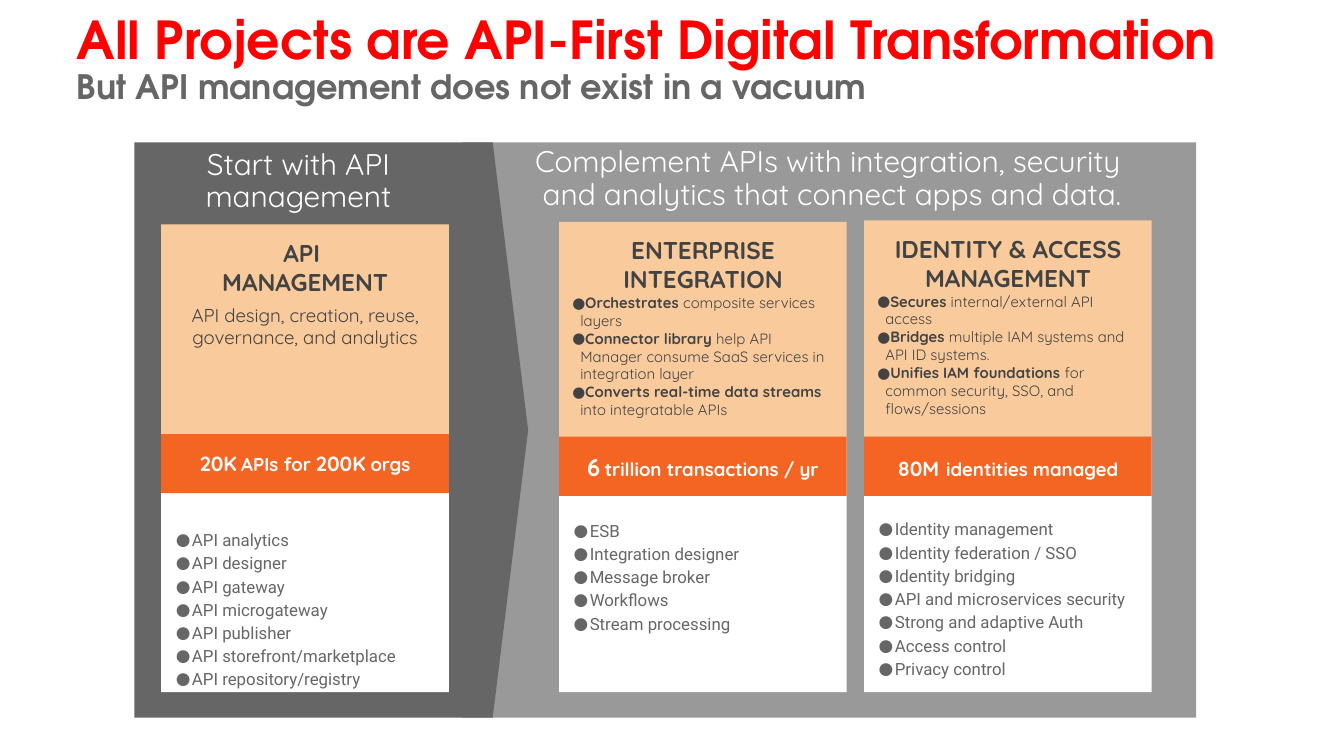
import pptx
import pptx.dml.color
import pptx.enum.shapes
import pptx.enum.text
import pptx.util
from lxml import etree
from pptx.oxml.ns import qn
from pptx.util import Inches

COLORS = {
    "red": "FF0000", "white": "FFFFFF", "light_gray": "999999",
    "gray": "666666", "ink": "434343", "peach": "F9CB9C", "orange": "F46524",
}
SHAPES = pptx.enum.shapes.MSO_SHAPE
LEFT = pptx.enum.text.PP_ALIGN.LEFT
CENTER = pptx.enum.text.PP_ALIGN.CENTER
TOP = pptx.enum.text.MSO_ANCHOR.TOP
MIDDLE = pptx.enum.text.MSO_ANCHOR.MIDDLE

COLUMN_WIDTH, CARD_HEIGHT, BAND_HEIGHT, PANEL_BOTTOM = 2.14, 1.61, 0.44, 5.15

# Card bullets are (bold lead, rest); band texts are (text, size) pieces.
COLUMNS = [
    {
        "left": 1.2, "card_top": 1.67, "band_top": 3.23, "list_top": 3.82,
        "heading": "API \nMANAGEMENT",
        "summary": "API design, creation, reuse, governance, and analytics",
        "bullets": [],
        "band": [("20K", 11), (" ", 8), ("APIs for ", 10), ("200K", 11), (" ", 9), ("orgs", 10)],
        "features": ["API analytics", "API designer", "API gateway", "API microgateway",
                     "API publisher", "API storefront/marketplace", "API repository/registry"],
    },
    {
        "left": 4.16, "card_top": 1.65, "band_top": 3.25, "list_top": 3.75,
        "heading": "ENTERPRISE INTEGRATION",
        "summary": None,
        "bullets": [
            ("Orchestrates", " composite services layers"),
            ("Connector library",
             " help API Manager consume SaaS services in integration layer"),
            ("Converts real-time data streams \n", "into integratable APIs"),
        ],
        "band": [("6", 13), (" ", 8), ("trillion transactions / yr", 10)],
        "features": ["ESB", "Integration designer", "Message broker", "Workflows",
                     "Stream processing"],
    },
    {
        "left": 6.43, "card_top": 1.64, "band_top": 3.25, "list_top": 3.74,
        "heading": "IDENTITY & ACCESS MANAGEMENT",
        "summary": None,
        "bullets": [
            ("Secures", " internal/external API access"),
            ("Bridges", " multiple IAM systems and API ID systems."),
            ("Unifies IAM foundations", " for common security, SSO, and flows/sessions"),
        ],
        "band": [("80M", 11), (" ", 13), ("identities managed", 10)],
        "features": ["Identity management", "Identity federation / SSO", "Identity bridging",
                     "API and microservices security", "Strong and adaptive Auth",
                     "Access control", "Privacy control"],
    },
]


def rgb(name):
    return pptx.dml.color.RGBColor.from_string(COLORS[name])


def prepare_frame(shape, anchor, insets=(0.1, 0.1, 0.1, 0.1)):
    frame = shape.text_frame
    frame.word_wrap = True
    frame.vertical_anchor = anchor
    frame.margin_left, frame.margin_top, frame.margin_right, frame.margin_bottom = map(
        Inches, insets)
    return frame


def add_block(shapes, kind, box, fill):
    block = shapes.add_shape(kind, *map(Inches, box))
    block.shadow.inherit = False
    block.fill.solid()
    block.fill.fore_color.rgb = rgb(fill)
    block.line.fill.background()
    return block


def add_text_frame(page, box, anchor, insets=(0.1, 0.1, 0.1, 0.1)):
    return prepare_frame(page.shapes.add_textbox(*map(Inches, box)), anchor, insets)


def add_bullet(paragraph, margin, color, font):
    properties = paragraph._p.get_or_add_pPr()
    properties.set("marL", str(Inches(margin)))
    properties.set("indent", str(Inches(-0.12)))
    bullet_color = etree.SubElement(properties, qn("a:buClr"))
    etree.SubElement(bullet_color, qn("a:srgbClr")).set("val", COLORS[color])
    etree.SubElement(properties, qn("a:buFont")).set("typeface", font)
    etree.SubElement(properties, qn("a:buChar")).set("char", "●")


def add_paragraph(frame, spans, size, color, font="Quicksand", bold=False, align=LEFT,
                  spacing=None, before=None, bullet_margin=None):
    """Write (text, font overrides) spans; a newline in a text is a line break."""
    first = frame.paragraphs[0]
    paragraph = frame.add_paragraph() if first.runs else first
    paragraph.alignment = align
    if spacing:
        paragraph.line_spacing = spacing
    if before:
        paragraph.space_before = pptx.util.Pt(before)
    if bullet_margin is not None:
        add_bullet(paragraph, bullet_margin, color, font)
    paragraph.font.name = font
    paragraph.font.size = pptx.util.Pt(size)
    paragraph.font.bold = bold
    paragraph.font.color.rgb = rgb(color)
    for text, overrides in spans:
        for index, line in enumerate(text.split("\n")):
            if index:
                paragraph.add_line_break()
            if not line:
                continue
            span = paragraph.add_run()
            span.text = line
            if "size" in overrides:
                span.font.size = pptx.util.Pt(overrides["size"])
            if "bold" in overrides:
                span.font.bold = overrides["bold"]
            if "color" in overrides:
                span.font.color.rgb = rgb(overrides["color"])


def add_title(page):
    frame = add_text_frame(page, (0.5, 0.12, 9, 0.66), MIDDLE, (0.07, 0.04, 0.07, 0.04))
    add_paragraph(frame, [
        ("All Projects are API-First Digital Transformation\n", {"size": 28, "color": "red"}),
        ("But API management does not exist in a vacuum", {}),
    ], 18, "gray", font="TeX Gyre Adventor", bold=True, spacing=0.9)


def add_section_heading(page, box, text):
    frame = add_text_frame(page, box, MIDDLE, (0, 0.1, 0.1, 0.1))
    add_paragraph(frame, [(text, {})], 16, "white", align=CENTER, spacing=0.9)


def add_column(page, column):
    """Group a white panel, a peach card and an orange band, and list the features."""
    left, band_top = column["left"], column["band_top"]
    shapes = page.shapes.add_group_shape().shapes
    add_block(shapes, SHAPES.RECTANGLE,
              (left, band_top, COLUMN_WIDTH, PANEL_BOTTOM - band_top), "white")

    card = add_block(shapes, SHAPES.RECTANGLE,
                     (left, column["card_top"], COLUMN_WIDTH, CARD_HEIGHT), "peach")
    frame = prepare_frame(card, TOP)
    add_paragraph(frame, [(column["heading"], {})], 13, "ink", bold=True, align=CENTER)
    if column["summary"]:
        add_paragraph(frame, [(column["summary"], {})], 10, "ink", align=CENTER, before=4)
    for lead, rest in column["bullets"]:
        add_paragraph(frame, [(lead, {"bold": True}), (rest, {})], 8, "ink",
                      bullet_margin=0.06)

    band = add_block(shapes, SHAPES.RECTANGLE,
                     (left, band_top, COLUMN_WIDTH, BAND_HEIGHT), "orange")
    add_paragraph(prepare_frame(band, MIDDLE),
                  [(text, {"size": size}) for text, size in column["band"]],
                  10, "white", bold=True, align=CENTER)

    frame = add_text_frame(page, (left - 0.06, column["list_top"], COLUMN_WIDTH, 1.4), TOP)
    for feature in column["features"]:
        add_paragraph(frame, [(feature, {})], 9, "gray", font="Roboto", spacing=1.15,
                      bullet_margin=0.19)


def main():
    deck = pptx.Presentation()
    deck.slide_width = Inches(10)
    deck.slide_height = deck.slide_width * 9 // 16
    page = deck.slides.add_slide(deck.slide_layouts[6])

    add_block(page.shapes, SHAPES.RECTANGLE, (3.44, 1.06, 5.46, 4.28), "light_gray")
    arrow = add_block(page.shapes, SHAPES.PENTAGON, (1, 1.06, 2.93, 4.28), "gray")
    arrow.adjustments[0] = 0.09
    add_title(page)
    add_section_heading(page, (1.2, 1.04, 2.14, 0.63), "Start with API management")
    add_section_heading(page, (3.65, 1.02, 5.18, 0.63),
                        "Complement APIs with integration, security \n"
                        "and analytics that connect apps and data.")
    for column in COLUMNS:
        add_column(page, column)
    deck.save("out.pptx")


if __name__ == "__main__":
    main()
